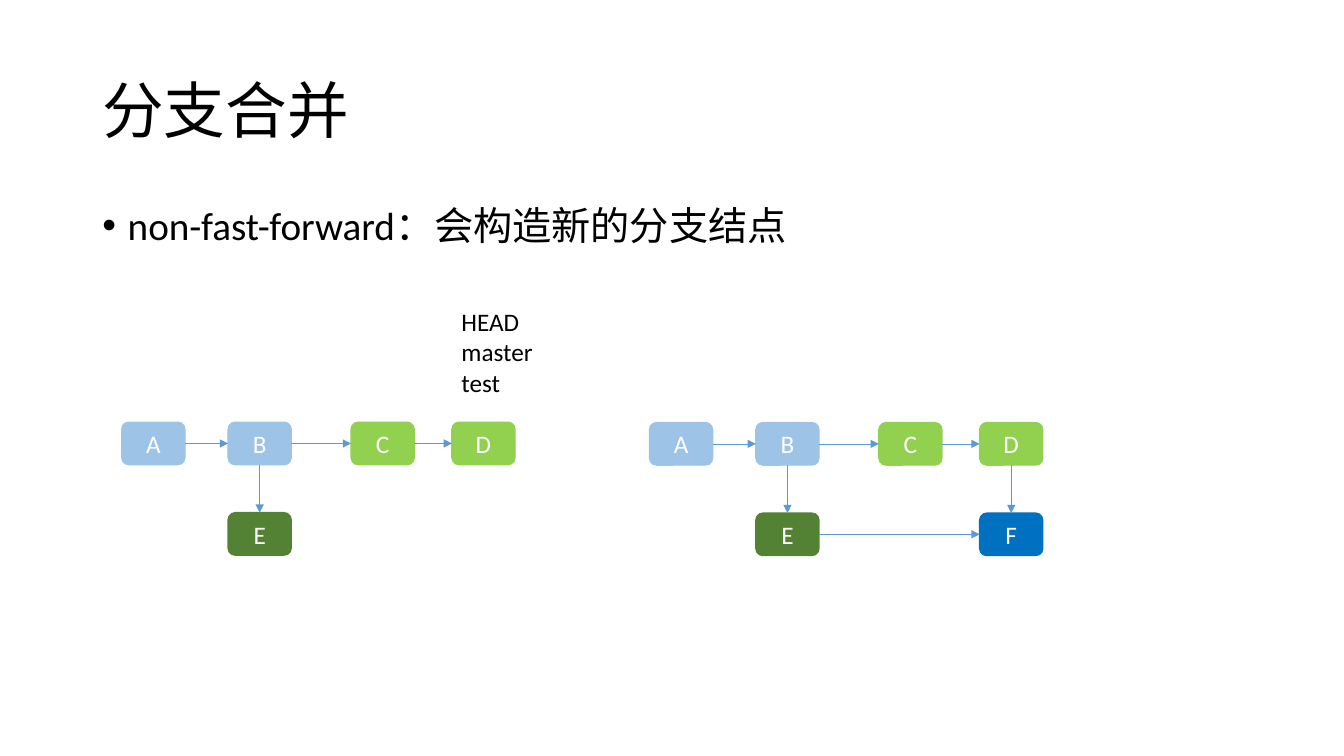
from lxml import etree
from pptx import Presentation
from pptx import util as u
from pptx.dml import color
from pptx.enum import shapes, text
from pptx.oxml import ns

FONT = "Calibri"
BLACK, WHITE, ARROW = "000000", "FFFFFF", "5B9BD5"
SHARED, MASTER, TEST, MERGED = "9DC3E6", "92D050", "548235", "0070C0"
NODE_WIDTH, NODE_HEIGHT = 1.59, 1.07
ROW_STEP = 2.28
COLUMNS = [0, 2.68, 5.78, 8.32]
TOP, LEFT, BOTTOM, RIGHT = range(4)  # connection sites of a node

# Commit name: (column, row, colour)
COMMITS = {
    "A": (0, 0, SHARED), "B": (1, 0, SHARED),
    "C": (2, 0, MASTER), "D": (3, 0, MASTER),
    "E": (1, 1, TEST), "F": (3, 1, MERGED),
}
BRANCHED = ["AB", "BC", "CD", "BE"]
MERGE = ["EF", "DF"]


def rgb(value):
    return color.RGBColor.from_string(value)


def add_run(paragraph, content, size, colour):
    run = paragraph.add_run()
    run.text = content
    run.font.name = FONT
    run.font.size = u.Pt(size)
    run.font.color.rgb = rgb(colour)


def add_text(slide, box, lines, size, anchor=text.MSO_ANCHOR.TOP):
    """Add a text box with one paragraph per line and return its paragraphs."""
    frame = slide.shapes.add_textbox(*map(u.Cm, box)).text_frame
    frame.word_wrap = True
    frame.vertical_anchor = anchor
    for index, line in enumerate(lines):
        paragraph = frame.add_paragraph() if index else frame.paragraphs[0]
        add_run(paragraph, line, size, BLACK)
    return frame.paragraphs


def add_title(slide, box):
    paragraph, = add_text(slide, box, ["分支合并"], 44, text.MSO_ANCHOR.MIDDLE)
    paragraph.line_spacing = 0.9


def add_body(slide, box):
    paragraph, = add_text(slide, box, ["non-fast-forward：会构造新的分支结点"], 28)
    paragraph.line_spacing = 0.9
    paragraph.space_before = u.Pt(10)
    # Bullet with a hanging indent
    properties = paragraph._p.get_or_add_pPr()
    indent = u.Cm(0.64)
    properties.set("marL", str(indent))
    properties.set("indent", str(-indent))
    font = etree.SubElement(properties, ns.qn("a:buFont"))
    font.set("typeface", "Arial")
    etree.SubElement(properties, ns.qn("a:buChar")).set("char", "•")


def add_commit(slide, left, top, name, colour):
    node = slide.shapes.add_shape(
        shapes.MSO_SHAPE.ROUNDED_RECTANGLE,
        *map(u.Cm, (left, top, NODE_WIDTH, NODE_HEIGHT)))
    node.shadow.inherit = False
    node.fill.solid()
    node.fill.fore_color.rgb = rgb(colour)
    node.line.color.rgb = rgb(colour)
    node.line.width = u.Pt(1)
    node.text_frame.vertical_anchor = text.MSO_ANCHOR.MIDDLE
    paragraph = node.text_frame.paragraphs[0]
    paragraph.alignment = text.PP_ALIGN.CENTER
    add_run(paragraph, name, 18, WHITE)
    return node


def add_arrow(slide, start, start_site, end, end_site):
    arrow = slide.shapes.add_connector(shapes.MSO_CONNECTOR.STRAIGHT, 0, 0, 0, 0)
    arrow.begin_connect(start, start_site)
    arrow.end_connect(end, end_site)
    arrow.line.color.rgb = rgb(ARROW)
    arrow.line.width = u.Pt(0.5)
    tail = etree.SubElement(arrow.line._get_or_add_ln(), ns.qn("a:tailEnd"))
    tail.set("type", "triangle")
    etree.SubElement(arrow._element.spPr, ns.qn("a:effectLst"))


def add_graph(slide, left, top, names, edges):
    nodes = {}
    for name in names:
        column, row, colour = COMMITS[name]
        nodes[name] = add_commit(
            slide, left + COLUMNS[column], top + row * ROW_STEP, name, colour)
    for start, end in edges:
        same_row = COMMITS[start][1] == COMMITS[end][1]
        sites = (RIGHT, LEFT) if same_row else (BOTTOM, TOP)
        add_arrow(slide, nodes[start], sites[0], nodes[end], sites[1])


def add_branch_labels(slide, box):
    add_text(slide, box, ["HEAD", "master", "test"], 18)


def build_merge_slide(presentation):
    slide = presentation.slides.add_slide(presentation.slide_layouts[6])
    add_title(slide, (2.33, 1.01, 29.21, 3.68))
    add_body(slide, (2.33, 5.07, 29.21, 12.09))
    # Before the merge
    add_graph(slide, 3.07, 10.64, "ABCDE", BRANCHED)
    add_branch_labels(slide, (11.38, 7.6, 2.62, 2.56))
    # After the merge
    add_graph(slide, 16.37, 10.65, "ABCDEF", BRANCHED + MERGE)


presentation = Presentation()
presentation.slide_width = u.Cm(33.87)
presentation.slide_height = u.Cm(19.05)
build_merge_slide(presentation)
presentation.save("out.pptx")
